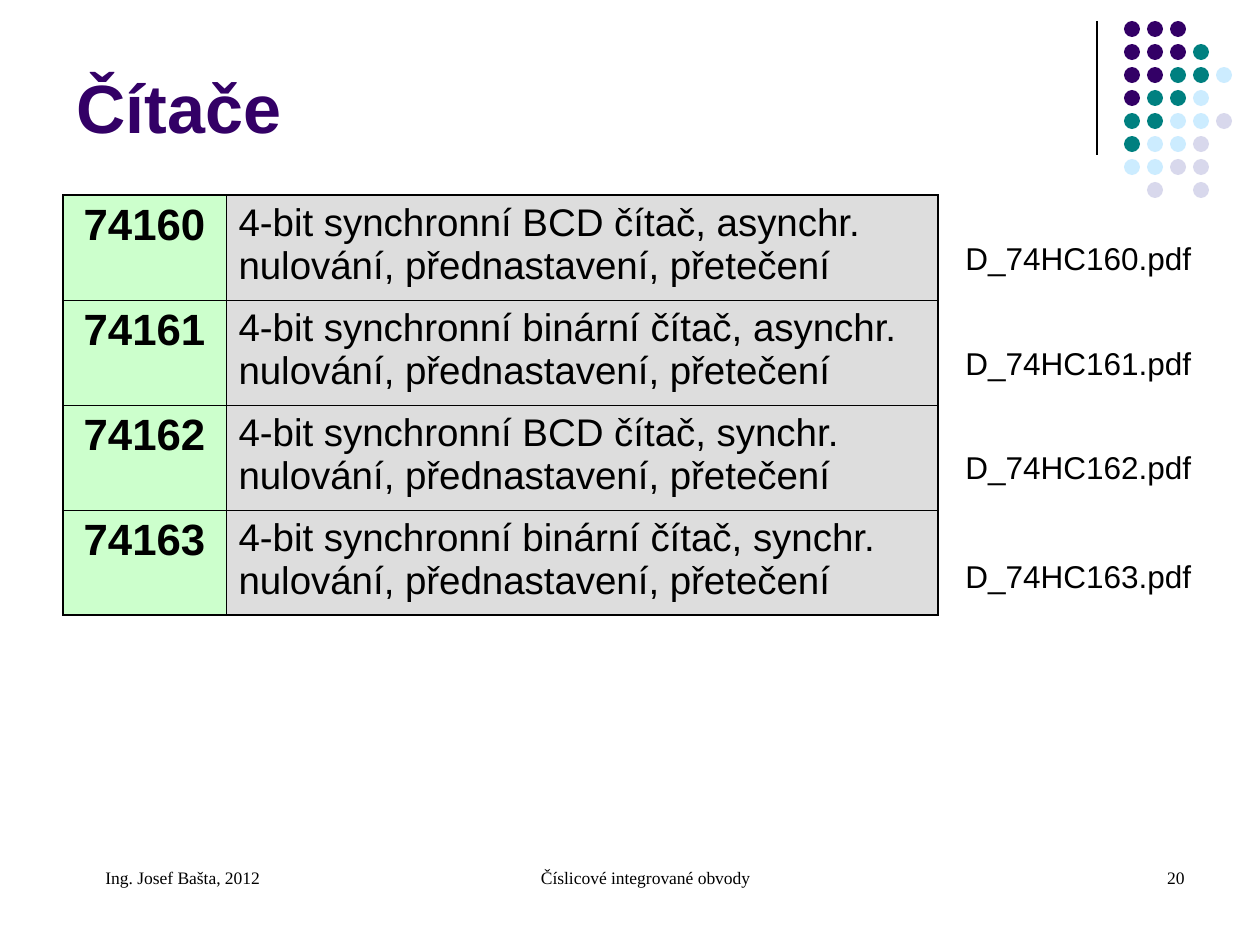
from lxml import etree
from pptx import Presentation
from pptx.dml.color import RGBColor
from pptx.enum.shapes import MSO_CONNECTOR, MSO_SHAPE
from pptx.enum.text import MSO_ANCHOR, PP_ALIGN
from pptx.oxml.ns import qn
from pptx.util import Pt

PX = 914400 / 126
LEFT, CENTER, RIGHT = PP_ALIGN.LEFT, PP_ALIGN.CENTER, PP_ALIGN.RIGHT
TOP, BOTTOM = MSO_ANCHOR.TOP, MSO_ANCHOR.BOTTOM
OVAL, STRAIGHT = MSO_SHAPE.OVAL, MSO_CONNECTOR.STRAIGHT

TITLE = {"name": "Arial", "size": Pt(39), "bold": True}
CODE = {"name": "Arial", "size": Pt(25), "bold": True}
BODY = {"name": "Arial", "size": Pt(22), "bold": False}
FILE = {"name": "Arial", "size": Pt(18)}
FOOT = {"name": "Times New Roman", "size": Pt(10)}
THIN, THICK = Pt(0.45), Pt(1.08)

DOT_COLORS = {"P": "330066", "T": "008080", "B": "CCECFF", "L": "D8D8EC"}
DOT_ROWS = ["PPP", "PPPT", "PPTTB", "PTTB", "TTBBL", "TBBL", "BBLL", " L L"]

COUNTERS = [
    ("74160", "4-bit synchronní BCD čítač, asynchr. nulování, přednastavení, přetečení"),
    ("74161", "4-bit synchronní binární čítač, asynchr. nulování, přednastavení, přetečení"),
    ("74162", "4-bit synchronní BCD čítač, synchr. nulování, přednastavení, přetečení"),
    ("74163", "4-bit synchronní binární čítač, synchr. nulování, přednastavení, přetečení"),
]
FILE_OFFSETS = [0, 105, 209, 318]


def px(n):
    return round(n * PX)


def rgb(color):
    return RGBColor.from_string(color)


def write(tf, text, fmt, color="000000", align=LEFT):
    p = tf.paragraphs[0]
    p.alignment = align
    r = p.add_run()
    r.text = text
    for key, value in fmt.items():
        setattr(r.font, key, value)
    r.font.color.rgb = rgb(color)
    return p


def add_text(s, box, text, fmt, color="000000", align=LEFT, anchor=TOP):
    tf = s.shapes.add_textbox(*map(px, box)).text_frame
    tf.word_wrap = True
    tf.vertical_anchor = anchor
    return write(tf, text, fmt, color, align)


def add_dots(s, x, y, size, pitch):
    for i, row in enumerate(DOT_ROWS):
        for j, key in enumerate(row):
            if key in DOT_COLORS:
                sp = s.shapes.add_shape(OVAL, px(x + j * pitch), px(y + i * pitch), px(size), px(size))
                sp.shadow.inherit = False
                sp.fill.solid()
                sp.fill.fore_color.rgb = rgb(DOT_COLORS[key])
                sp.line.fill.background()


def add_divider(s, x, y, h):
    line = s.shapes.add_connector(STRAIGHT, px(x), px(y), px(x), px(y + h))
    line.line.color.rgb = rgb("000000")
    line.line.width = Pt(0.75)
    etree.SubElement(line._element.spPr, qn("a:effectLst"))


def set_borders(cell, widths):
    tc_pr = cell._tc.get_or_add_tcPr()
    for i, (side, width) in enumerate(widths.items()):
        ln = etree.Element(qn("a:ln" + side), w=str(width))
        fill = etree.SubElement(ln, qn("a:solidFill"))
        etree.SubElement(fill, qn("a:srgbClr"), val="000000")
        tc_pr.insert(i, ln)


def add_counters(s, x, y, widths, row_h):
    n = len(COUNTERS)
    frame = s.shapes.add_table(n, 2, px(x), px(y), px(sum(widths)), px(n * row_h))
    table = frame.table
    table.first_row = table.horz_banding = False
    for col, width in zip(table.columns, widths):
        col.width = px(width)
    styles = [(CODE, CENTER, "CCFFCC"), (BODY, LEFT, "DDDDDD")]
    for i, texts in enumerate(COUNTERS):
        table.rows[i].height = px(row_h)
        for j, (fmt, align, fill) in enumerate(styles):
            cell = table.cell(i, j)
            cell.fill.solid()
            cell.fill.fore_color.rgb = rgb(fill)
            write(cell.text_frame, texts[j], fmt, align=align)
            outer = {"L": j == 0, "R": j == 1, "T": i == 0, "B": i == n - 1}
            set_borders(cell, {side: THICK if out else THIN for side, out in outer.items()})


def add_files(s, x, y, w, h):
    for (code, _), offset in zip(COUNTERS, FILE_OFFSETS):
        add_text(s, (x, y + offset, w, h), f"D_74HC{code[2:]}.pdf", FILE)


def add_footer(s, x, y, w, h):
    parts = [
        (0, 294, "Ing. Josef Bašta, 2012", LEFT),
        (368, 399, "Číslicové integrované obvody", CENTER),
        (w - 294, 294, "20", RIGHT),
    ]
    for dx, width, text, align in parts:
        p = add_text(s, (x + dx, y, width, h), text, FOOT, align=align)
        p._p.get_or_add_pPr().set("marL", str(px(30)))


def main():
    prs = Presentation()
    prs.slide_width, prs.slide_height = px(1260), px(945)
    s = prs.slides.add_slide(prs.slide_layouts[6])
    add_divider(s, 1097, 21, 134)
    add_dots(s, 1124, 21, 16, 23)
    add_text(s, (64, 45, 1040, 108), "Čítače", TITLE, "330066", anchor=BOTTOM)
    add_counters(s, 63, 195, (163, 712), 105)
    add_files(s, 953, 233, 263, 50)
    add_footer(s, 63, 861, 1134, 63)
    prs.save("out.pptx")


if __name__ == "__main__":
    main()
